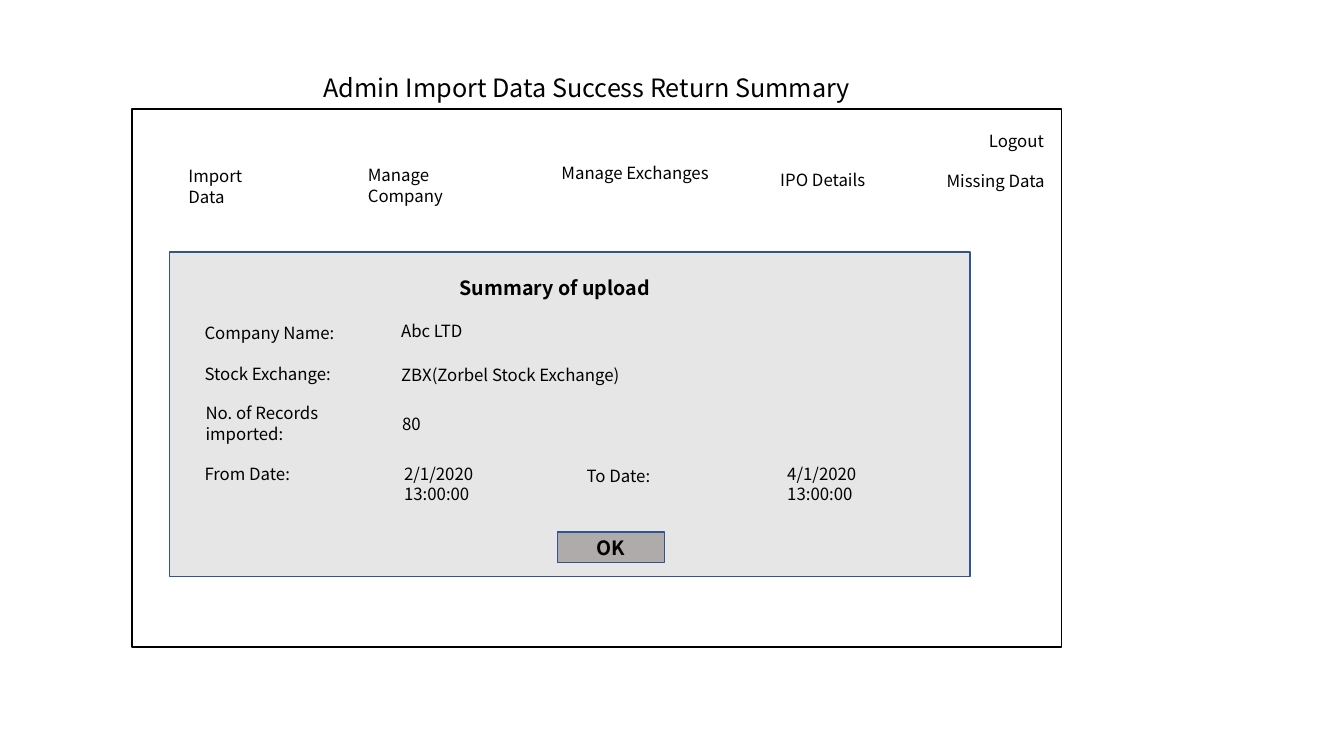
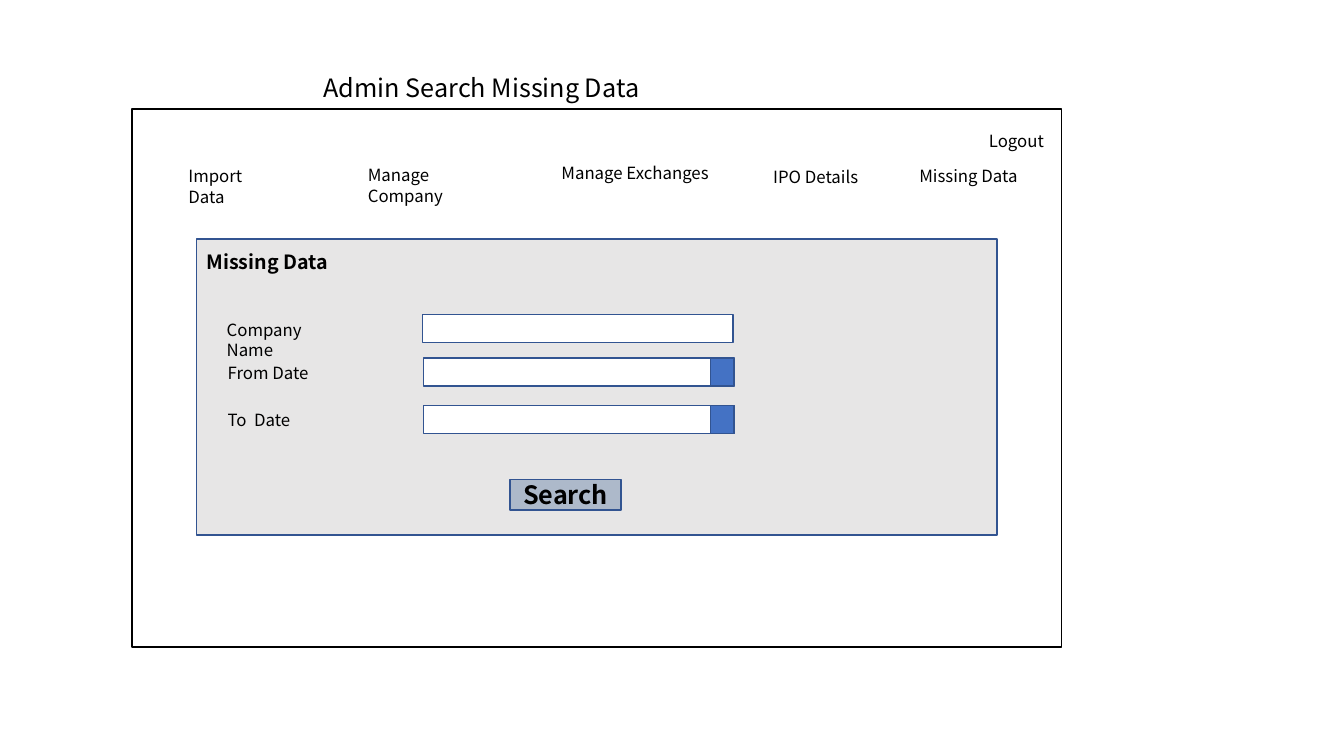
from dataclasses import dataclass
from typing import NamedTuple

from pptx import Presentation
from pptx.dml.color import RGBColor
from pptx.enum.shapes import MSO_SHAPE
from pptx.enum.text import MSO_ANCHOR, MSO_AUTO_SIZE, PP_ALIGN
from pptx.presentation import Presentation as Deck
from pptx.slide import Slide
from pptx.text.text import TextFrame
from pptx.util import Emu, Pt

EMU_PER_PX = 9144


@dataclass(frozen=True)
class Theme:
    font: str = "Noto Sans CJK SC"
    ink: str = "000000"
    page: str = "FFFFFF"
    panel: str = "E7E6E6"
    outline: str = "325491"
    picker: str = "4472C4"
    ok_button: str = "AFABAB"
    search_button: str = "ADB9CA"
    title_size: int = 18
    heading_size: int = 14
    body_size: int = 12
    line_width: int = 1


THEME = Theme()


class Box(NamedTuple):
    left: int
    top: int
    width: int
    height: int = 30

    def emu(self) -> tuple[Emu, ...]:
        return tuple(Emu(px * EMU_PER_PX) for px in self)


class Label(NamedTuple):
    text: str
    box: Box
    size: int = THEME.body_size
    bold: bool = False


class Button(NamedTuple):
    label: Label
    fill: str


class DateField(NamedTuple):
    field: Box
    picker_width: int


TITLE = Box(311, 67, 570, 40)
WINDOW = Box(131, 108, 922, 534)
SHARED_MENU = (
    Label("Import Data", Box(177, 160, 107)),
    Label("Manage Company", Box(355, 159, 156)),
    Label("Manage Exchanges", Box(547, 157, 175)),
    Label("Logout", Box(971, 125, 107)),
)


def write(frame: TextFrame, label: Label, align: PP_ALIGN, anchor: MSO_ANCHOR) -> None:
    frame.word_wrap = True
    frame.auto_size = MSO_AUTO_SIZE.NONE
    frame.vertical_anchor = anchor
    frame.text = label.text
    paragraph = frame.paragraphs[0]
    paragraph.alignment = align
    paragraph.font.name = THEME.font
    paragraph.font.size = Pt(label.size)
    paragraph.font.bold = label.bold
    paragraph.font.color.rgb = RGBColor.from_string(THEME.ink)


def add_label(slide: Slide, label: Label) -> None:
    frame = slide.shapes.add_textbox(*label.box.emu()).text_frame
    write(frame, label, PP_ALIGN.LEFT, MSO_ANCHOR.TOP)


def add_rect(slide: Slide, box: Box, fill: str, line: str = THEME.outline) -> TextFrame:
    rect = slide.shapes.add_shape(MSO_SHAPE.RECTANGLE, *box.emu())
    rect.shadow.inherit = False
    rect.fill.solid()
    rect.fill.fore_color.rgb = RGBColor.from_string(fill)
    rect.line.color.rgb = RGBColor.from_string(line)
    rect.line.width = Pt(THEME.line_width)
    return rect.text_frame


def add_button(slide: Slide, button: Button) -> None:
    frame = add_rect(slide, button.label.box, button.fill)
    write(frame, button.label, PP_ALIGN.CENTER, MSO_ANCHOR.MIDDLE)


def add_date_field(slide: Slide, date: DateField) -> None:
    field = date.field
    add_rect(slide, field, THEME.page)
    picker_left = field.left + field.width - date.picker_width
    picker = Box(picker_left, field.top, date.picker_width, field.height)
    add_rect(slide, picker, THEME.picker)


def add_screen(
    deck: Deck, title: str, panel: Box, labels: tuple[Label, ...], button: Button
) -> Slide:
    slide = deck.slides.add_slide(deck.slide_layouts[5])
    heading = slide.shapes.title
    heading.left, heading.top, heading.width, heading.height = TITLE.emu()
    title_label = Label(title, TITLE, THEME.title_size)
    write(heading.text_frame, title_label, PP_ALIGN.LEFT, MSO_ANCHOR.TOP)
    add_rect(slide, WINDOW, THEME.page, THEME.ink)
    add_rect(slide, panel, THEME.panel)
    for label in SHARED_MENU + labels:
        add_label(slide, label)
    add_button(slide, button)
    return slide


def add_summary_screen(deck: Deck) -> None:
    labels = (
        Label("IPO Details", Box(764, 163, 116)),
        Label("Missing Data", Box(929, 164, 127)),
        Label("Summary of upload", Box(446, 269, 246, 34), THEME.heading_size, True),
        Label("Company Name:", Box(193, 315, 158)),
        Label("Abc LTD", Box(388, 313, 158)),
        Label("Stock Exchange:", Box(193, 356, 158)),
        Label("ZBX(Zorbel Stock Exchange)", Box(388, 357, 246)),
        Label("No. of Records imported:", Box(194, 395, 158, 50)),
        Label("80", Box(389, 406, 158)),
        Label("From Date:", Box(193, 455, 158)),
        Label("2/1/2020 13:00:00", Box(391, 455, 140)),
        Label("To Date:", Box(572, 457, 158)),
        Label("4/1/2020 13:00:00", Box(771, 455, 140)),
    )
    ok = Label("OK", Box(553, 528, 106), THEME.heading_size, True)
    add_screen(
        deck,
        "Admin Import Data Success Return Summary",
        Box(168, 250, 794, 322),
        labels,
        Button(ok, THEME.ok_button),
    )


def add_search_screen(deck: Deck) -> None:
    labels = (
        Label("IPO Details", Box(757, 161, 116)),
        Label("Missing Data", Box(902, 160, 127)),
        Label("Missing Data", Box(195, 243, 246, 34), THEME.heading_size, True),
        Label("Company Name", Box(215, 312, 140)),
        Label("From Date", Box(216, 355, 140)),
        Label("To  Date", Box(216, 402, 140)),
    )
    search = Label("Search", Box(506, 476, 110), THEME.title_size, True)
    slide = add_screen(
        deck,
        "Admin Search Missing Data",
        Box(195, 237, 794, 294),
        labels,
        Button(search, THEME.search_button),
    )
    add_rect(slide, Box(419, 312, 308, 28), THEME.page)
    for top in (355, 402):
        add_date_field(slide, DateField(Box(420, top, 308, 28), 23))


def main() -> None:
    deck = Presentation()
    deck.slide_width = Emu(1333 * EMU_PER_PX)
    deck.slide_height = Emu(750 * EMU_PER_PX)
    add_summary_screen(deck)
    add_search_screen(deck)
    deck.save("out.pptx")


if __name__ == "__main__":
    main()
